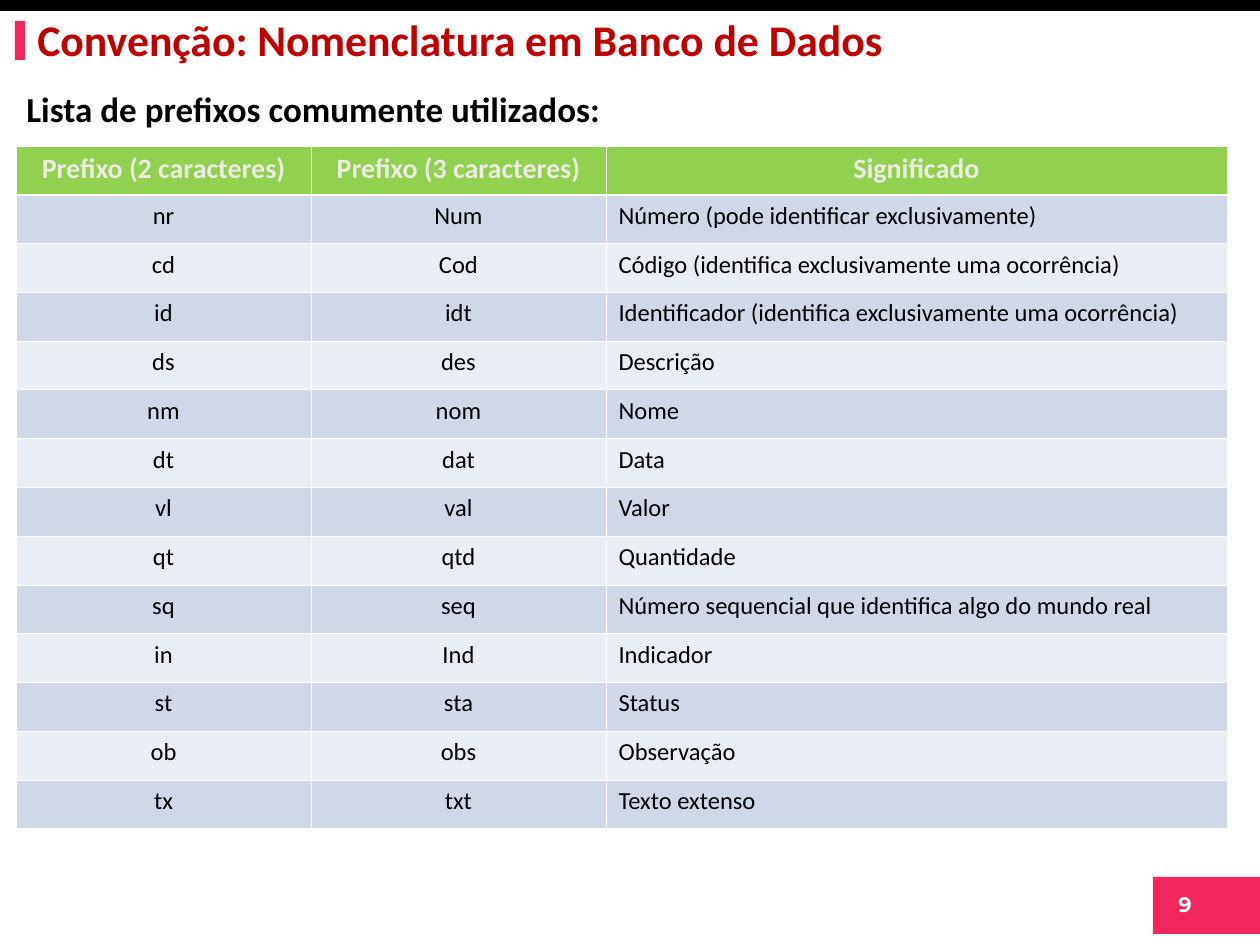
from lxml.etree import SubElement
from pptx import Presentation
from pptx.dml.color import RGBColor
from pptx.enum.shapes import MSO_SHAPE as Shape
from pptx.enum.text import MSO_ANCHOR as Anchor, PP_ALIGN as Align
from pptx.oxml.ns import qn
from pptx.util import Pt

PIXELS_PER_INCH = 126
EMU_PER_INCH = 914400
COLORS = {
    "black": "000000",
    "white": "FFFFFF",
    "accent": "F0265D",
    "title": "C00000",
    "header": "92D050",
    "header_text": "EEECE1",
    "odd_row": "D0D8E8",
    "even_row": "E9EDF4",
}
HEADERS = ("Prefixo (2 caracteres)", "Prefixo (3 caracteres)", "Significado")
PREFIXES = (
    ("nr", "Num", "Número (pode identificar exclusivamente)"),
    ("cd", "Cod", "Código (identifica exclusivamente uma ocorrência)"),
    ("id", "idt", "Identificador (identifica exclusivamente uma ocorrência)"),
    ("ds", "des", "Descrição"),
    ("nm", "nom", "Nome"),
    ("dt", "dat", "Data"),
    ("vl", "val", "Valor"),
    ("qt", "qtd", "Quantidade"),
    ("sq", "seq", "Número sequencial que identifica algo do mundo real"),
    ("in", "Ind", "Indicador"),
    ("st", "sta", "Status"),
    ("ob", "obs", "Observação"),
    ("tx", "txt", "Texto extenso"),
)
COLUMN_WIDTHS = (295, 295, 621)
TABLE_HEIGHT = 683
THIN, THICK = 0.45, 1.47


def px(value):
    return round(value * EMU_PER_INCH / PIXELS_PER_INCH)


def color(name):
    return RGBColor.from_string(COLORS[name])


def write(paragraph, text, size, color_name, bold=True, font="Calibri", align=Align.LEFT):
    paragraph.alignment = align
    run = paragraph.add_run()
    run.text = text
    run.font.name = font
    run.font.size = Pt(size)
    run.font.bold = bold
    run.font.color.rgb = color(color_name)


def add_bar(slide, box, color_name):
    shape = slide.shapes.add_shape(Shape.RECTANGLE, *map(px, box))
    shape.shadow.inherit = False
    shape.fill.solid()
    shape.fill.fore_color.rgb = color(color_name)
    shape.line.fill.background()


def add_text(slide, box, text, size, color_name, wrap=True, anchor=Anchor.TOP, **style):
    frame = slide.shapes.add_textbox(*map(px, box)).text_frame
    frame.word_wrap = wrap
    frame.vertical_anchor = anchor
    write(frame.paragraphs[0], text, size, color_name, **style)


def set_borders(cell, top, bottom):
    properties = cell._tc.get_or_add_tcPr()
    widths = {"a:lnL": THIN, "a:lnR": THIN, "a:lnT": top, "a:lnB": bottom}
    for tag, width in widths.items():
        line = SubElement(properties, qn(tag), w=str(Pt(width)))
        fill = SubElement(line, qn("a:solidFill"))
        SubElement(fill, qn("a:srgbClr"), val=COLORS["white"])


def fill_cell(cell, text, row, column):
    is_header = row == 0
    set_borders(cell, THICK if row == 1 else THIN, THICK if is_header else THIN)
    cell.fill.solid()
    fill_name = "header" if is_header else "odd_row" if row % 2 else "even_row"
    cell.fill.fore_color.rgb = color(fill_name)
    align = Align.CENTER if is_header or column < 2 else Align.LEFT
    size, text_color = (16, "header_text") if is_header else (14, "black")
    write(cell.text_frame.paragraphs[0], text, size, text_color, bold=is_header, align=align)


def add_prefix_table(slide, left, top):
    rows = (HEADERS, *PREFIXES)
    table = slide.shapes.add_table(
        len(rows), len(HEADERS), px(left), px(top), px(sum(COLUMN_WIDTHS)), px(TABLE_HEIGHT)
    ).table
    table.horz_banding = False
    for column, width in zip(table.columns, COLUMN_WIDTHS):
        column.width = px(width)
    for row_index, row in enumerate(rows):
        for column_index, text in enumerate(row):
            fill_cell(table.cell(row_index, column_index), text, row_index, column_index)


def main():
    presentation = Presentation()
    presentation.slide_width = px(1260)
    presentation.slide_height = px(945)
    slide = presentation.slides.add_slide(presentation.slide_layouts[6])

    add_bar(slide, (0, 0, 1260, 11), "black")
    add_bar(slide, (1153, 877, 108, 57), "accent")
    add_text(slide, (1118, 885, 134, 42), "9", 12, "white",
             wrap=False, font="Montserrat", align=Align.CENTER)
    add_bar(slide, (15, 21, 10, 39), "accent")
    add_text(slide, (14, 81, 1153, 54), "Lista de prefixos comumente utilizados:", 20, "black")
    add_prefix_table(slide, 16, 146)
    add_text(slide, (25, 6, 1007, 66), "Convenção: Nomenclatura em Banco de Dados", 25, "title",
             anchor=Anchor.MIDDLE)
    presentation.save("out.pptx")


if __name__ == "__main__":
    main()
